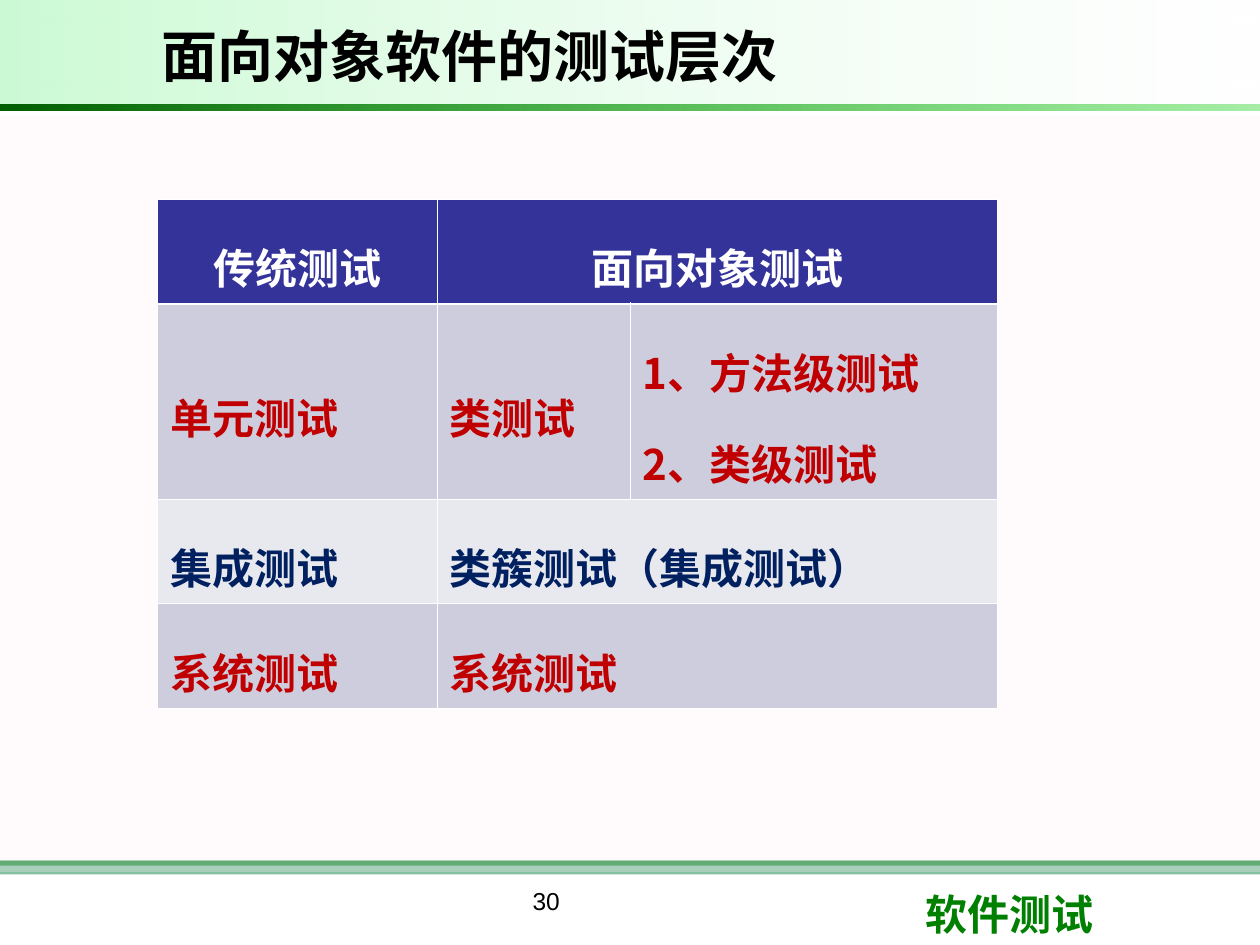
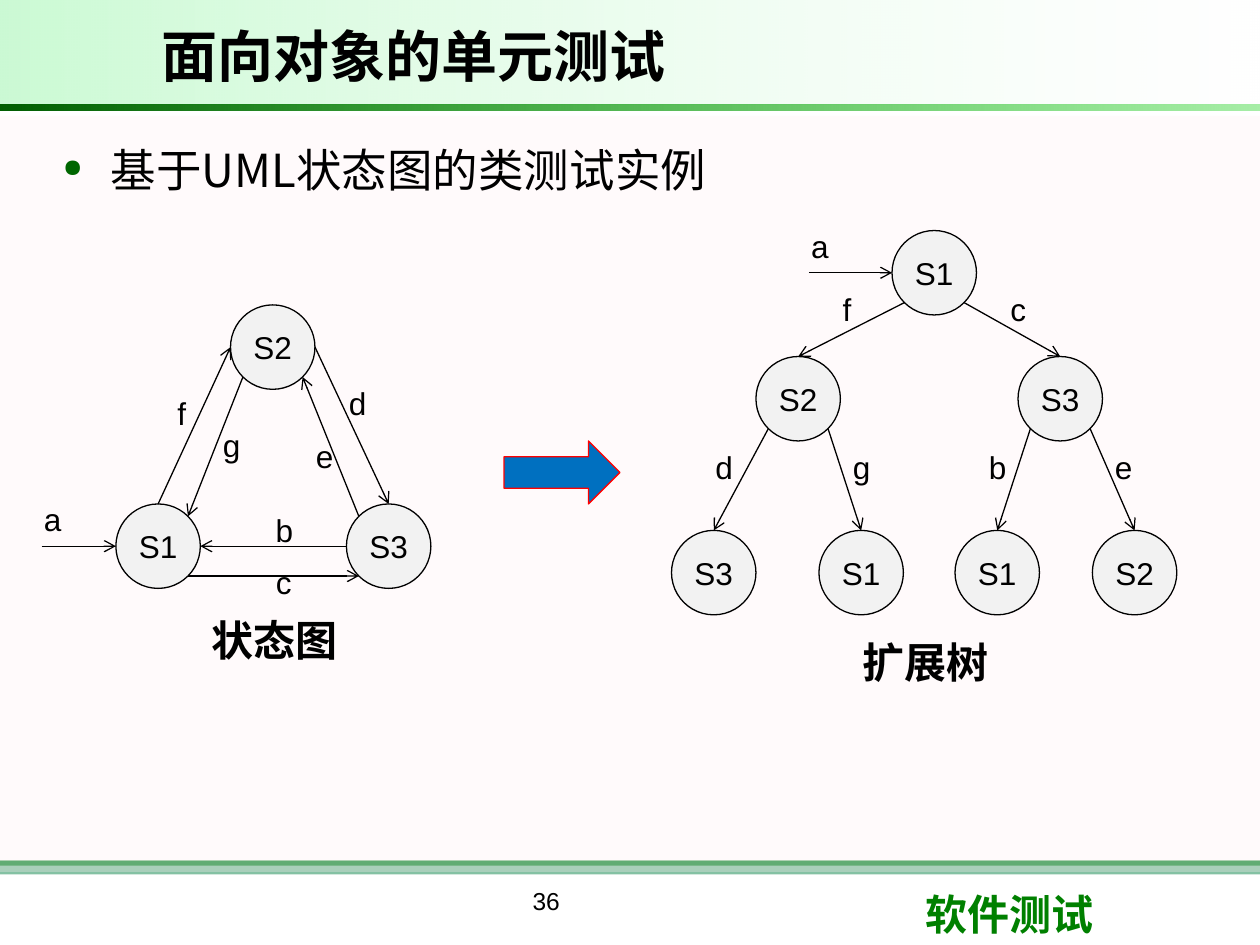
"""Build two slides on levels of object-oriented software testing."""
from math import cos, pi, sin

from lxml import etree
from pptx import Presentation
from pptx import util as u
from pptx.dml.color import RGBColor
from pptx.enum import shapes, text
from pptx.oxml.ns import qn

BLACK = RGBColor(0, 0, 0)
WHITE = RGBColor(255, 255, 255)
GREEN = RGBColor(0x00, 0x80, 0x00)
SEA = RGBColor(0x33, 0x99, 0x66)
BLUSH = RGBColor(0xFF, 0xF0, 0xF5)
LIME = RGBColor(0x09, 0xE7, 0x33)
LEAF = RGBColor(0x00, 0xCC, 0x00)
FOREST = RGBColor(0x00, 0x5E, 0x00)
MOSS = RGBColor(0x00, 0x66, 0x00)
INDIGO = RGBColor(0x33, 0x33, 0x99)
LILAC = RGBColor(0xCD, 0xCD, 0xDE)
MIST = RGBColor(0xE8, 0xE8, 0xEF)
RED = RGBColor(0xC0, 0x00, 0x00)
NAVY = RGBColor(0x00, 0x20, 0x60)
GRAY = RGBColor(0xF2, 0xF2, 0xF2)
BLUE = RGBColor(0x00, 0x70, 0xC0)
EDGE = RGBColor(0xFF, 0x00, 0x00)
SANS, LATIN, CJK = "Arial", "Calibri", "Noto Sans CJK SC"
SIZE = 0.67
LEFT, CENTER = text.PP_ALIGN.LEFT, text.PP_ALIGN.CENTER
MIDDLE = text.MSO_ANCHOR.MIDDLE


def sub(parent, tag, **attrs):
    """Append a DrawingML child element."""
    return etree.SubElement(parent, qn(tag), **attrs)


def style(para, size, color=BLACK, bold=False, face=SANS, align=LEFT):
    """Set the font and alignment of a paragraph."""
    para.alignment = align
    font = para.font
    font.size, font.bold, font.name = u.Pt(size), bold, face
    font.color.rgb = color


def place(shape, left, top, width, height):
    """Move and size a shape, in inches."""
    shape.left, shape.top = u.Inches(left), u.Inches(top)
    shape.width, shape.height = u.Inches(width), u.Inches(height)


def write(slide, words, left, top, width, height, size, wrap=True, **look):
    """Add a text box with one paragraph."""
    box = slide.shapes.add_textbox(*map(u.Inches, (left, top, width, height)))
    box.text_frame.word_wrap = wrap
    para = box.text_frame.paragraphs[0]
    para.text = words
    style(para, size, **look)
    return box


def solid(slide, kind, left, top, width, height, fill, line=None):
    """Add a preset shape with a plain fill."""
    shape = slide.shapes.add_shape(
        kind, *map(u.Inches, (left, top, width, height)))
    shape.shadow.inherit = False
    shape.fill.solid()
    shape.fill.fore_color.rgb = fill
    if line is None:
        shape.line.fill.background()
    else:
        shape.line.color.rgb = line
        shape.line.width = u.Pt(0.75)
    return shape


def band(slide, top, height, *tints):
    """Add a full-width band with one or two (colour, opacity) tints."""
    shape = solid(slide, shapes.MSO_SHAPE.RECTANGLE, 0, top, 10, height,
                  tints[0][0])
    if len(tints) > 1:
        shape.fill.gradient()
        shape.fill.gradient_angle = 0
        for stop, (color, _) in zip(shape.fill.gradient_stops, tints):
            stop.color.rgb = color
    marks = shape._element.spPr.iter(qn("a:srgbClr"))
    for mark, (_, alpha) in zip(list(marks), tints):
        if alpha < 100:
            sub(mark, "a:alpha", val=str(alpha * 1000))
    return shape


def brand(slide):
    """Draw the bands and course name, then move them to the layout."""
    parts = [
        band(slide, 6.83, 0.04, (GREEN, 100)),
        band(slide, 6.83, 0.11, (SEA, 60)),
        band(slide, 0.92, 6, (BLUSH, 30)),
        write(slide, "软件测试", 7.25, 7, 2.37, 0.5, 24,
              color=GREEN, bold=True, face=LATIN),
        band(slide, 0, 0.83, (LIME, 21), (WHITE, 10)),
        band(slide, 0.83, 0.05, (FOREST, 100), (LEAF, 35)),
    ]
    tree = slide.slide_layout.shapes._spTree
    for num, part in enumerate(parts, 100):
        part._element.nvSpPr.cNvPr.set("id", str(num))
        tree.append(part._element)


def page(slide, title, num):
    """Fill the title and page number."""
    head = slide.shapes.title
    place(head, 1.18, 0.08, 6.97, 0.71)
    head.text_frame.text = title
    head.text_frame.vertical_anchor = MIDDLE
    style(head.text_frame.paragraphs[0], 32, bold=True)
    write(slide, num, 2.75, 6.98, 3.17, 0.52, 14, align=CENTER)


def border(cell, top, bottom):
    """Draw white cell borders, with the top and bottom widths in points."""
    props = cell._tc.get_or_add_tcPr()
    for side, width in zip("LRTB", (0.45, 0.45, top, bottom)):
        line = sub(props, "a:ln" + side, w=str(u.Pt(width)))
        sub(sub(line, "a:solidFill"), "a:srgbClr", val=str(WHITE))


def levels(slide):
    """Add the table that sets classic testing beside object testing."""
    rows = [
        (0.83, INDIGO, WHITE, ["传统测试", "面向对象测试"]),
        (1.55, LILAC, RED, ["单元测试", "类测试", "1、方法级测试\n2、类级测试"]),
        (0.83, MIST, NAVY, ["集成测试", "类簇测试（集成测试）"]),
        (0.83, LILAC, RED, ["系统测试", "系统测试"]),
    ]
    total = sum(row[0] for row in rows)
    frame = slide.shapes.add_table(
        len(rows), 3, *map(u.Inches, (1.25, 1.58, 6.67, total)))
    table = frame.table
    table.first_row = table.horz_banding = False
    for col, width in zip(table.columns, (2.22, 1.53, 2.92)):
        col.width = u.Inches(width)
    for r, (height, fill, color, words) in enumerate(rows):
        table.rows[r].height = u.Inches(height)
        for c in range(3):
            cell = table.cell(r, c)
            border(cell, 1.47 if r == 1 else 0.45, 1.47 if r == 0 else 0.45)
            cell.fill.solid()
            cell.fill.fore_color.rgb = fill
        if len(words) == 2:
            table.cell(r, 1).merge(table.cell(r, 2))
        for c, word in enumerate(words):
            cell = table.cell(r, c)
            cell.text = word
            if r > 0:
                cell.vertical_anchor = MIDDLE
            for para in cell.text_frame.paragraphs:
                para.line_spacing = 1.5
                style(para, 24, color, True, CJK if r else SANS,
                      LEFT if r else CENTER)


def bullet(slide, words):
    """Add the bulleted lead line."""
    box = slide.shapes.add_textbox(*map(u.Inches, (0.39, 1.08, 9.36, 0.75)))
    box.text_frame.word_wrap = True
    para = box.text_frame.paragraphs[0]
    para.text = words
    props = para._p.get_or_add_pPr()
    props.set("marL", str(u.Inches(0.39)))
    props.set("indent", str(u.Inches(-0.38)))
    sub(sub(props, "a:buClr"), "a:srgbClr", val=str(MOSS))
    sub(props, "a:buSzPct", val="55000")
    sub(props, "a:buChar", char="●")
    style(para, 26, face=CJK)


def node(slide, name, left, top):
    """Add a round state node."""
    shape = solid(slide, shapes.MSO_SHAPE.OVAL, left, top, SIZE, SIZE,
                  GRAY, BLACK)
    frame = shape.text_frame
    frame.margin_left = frame.margin_right = 0
    frame.vertical_anchor = MIDDLE
    frame.text = name
    style(frame.paragraphs[0], 18, align=CENTER)
    return shape


def site(shape, num):
    """Find one of eight rim points, counted anticlockwise from the top."""
    turn, half = num * pi / 4, shape.width / 2
    return (u.Emu(round(shape.left + half - half * sin(turn))),
            u.Emu(round(shape.top + half - half * cos(turn))))


def arrow(slide, start, end):
    """Add a thin arrow between two points."""
    line = slide.shapes.add_connector(
        shapes.MSO_CONNECTOR.STRAIGHT, *start, *end)
    line.line.color.rgb = BLACK
    line.line.width = u.Pt(0.75)
    sub(line.line._get_or_add_ln(), "a:tailEnd", type="arrow")
    sub(line._element.spPr, "a:effectLst")
    return line


def graph(slide, spots, edges, labels):
    """Draw nodes, the edges and their labels."""
    nodes = [node(slide, *spot) for spot in spots]
    for a, out, b, into in edges:
        line = arrow(slide, site(nodes[a], out), site(nodes[b], into))
        if out == 0:
            line.begin_connect(nodes[a], 0)
        if into == 0:
            line.end_connect(nodes[b], 0)
    for name, left, top in labels:
        width = {"c": 0.32, "f": 0.27}.get(name, 0.34)
        write(slide, name, left, top, width, 0.4, 18, wrap=False)
    return nodes


def enter(slide, first, gap):
    """Add the arrow that leads into the first state."""
    x, y = site(first, 2)
    arrow(slide, (x - u.Inches(gap), y), (x, y))


def states(slide):
    """Draw the state diagram."""
    nodes = graph(
        slide,
        [("S1", 0.92, 4), ("S2", 1.83, 2.42), ("S3", 2.75, 4)],
        [(0, 0, 1, 2), (1, 3, 0, 7), (2, 1, 1, 5),
         (1, 6, 2, 0), (2, 2, 0, 6), (0, 5, 2, 3)],
        [("a", 0.25, 3.92), ("b", 2.09, 4.01), ("c", 2.09, 4.42),
         ("d", 2.67, 3), ("e", 2.41, 3.42), ("f", 1.31, 3.08),
         ("g", 1.67, 3.33)])
    enter(slide, nodes[0], 0.59)
    write(slide, "状态图", 1.58, 4.83, 1.25, 0.5, 24, bold=True)


def tree(slide):
    """Draw the expanded tree."""
    leaves = [("S3", 5.33), ("S1", 6.5), ("S1", 7.58), ("S2", 8.67)]
    marks = [("d", 5.58), ("g", 6.67), ("b", 7.75), ("e", 8.75)]
    nodes = graph(
        slide,
        [("S1", 7.08, 1.83), ("S2", 6, 2.83), ("S3", 8.08, 2.83)]
        + [(name, left, 4.21) for name, left in leaves],
        [(n // 2, 3 + 2 * (n % 2), n + 1, 0) for n in range(6)],
        [("a", 6.34, 1.75), ("c", 7.92, 2.25), ("f", 6.59, 2.25)]
        + [(name, left, 3.51) for name, left in marks])
    enter(slide, nodes[0], 0.66)
    write(slide, "扩展树", 6.75, 5, 1.25, 0.5, 24, bold=True)


def main():
    """Build and save the deck."""
    deck = Presentation()
    deck.slide_width, deck.slide_height = u.Inches(10), u.Inches(7.5)
    layout = deck.slide_layouts[5]

    first = deck.slides.add_slide(layout)
    brand(first)
    page(first, "面向对象软件的测试层次", "30")
    levels(first)

    second = deck.slides.add_slide(layout)
    page(second, "面向对象的单元测试", "36")
    bullet(second, "基于UML状态图的类测试实例")
    states(second)
    tree(second)
    solid(second, shapes.MSO_SHAPE.RIGHT_ARROW, 4, 3.5, 0.92, 0.5, BLUE, EDGE)

    deck.save("out.pptx")


if __name__ == "__main__":
    main()
